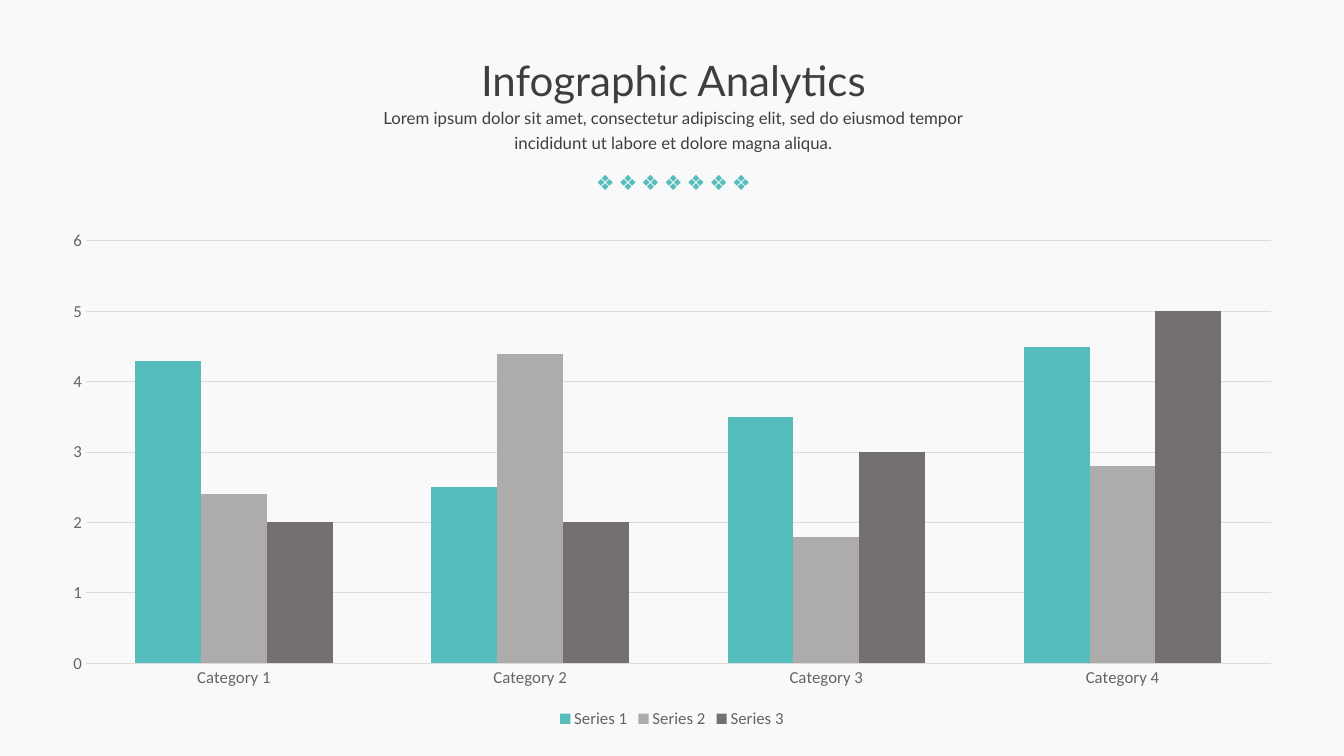
"""Build the Infographic Analytics slide with its clustered column chart."""
from pptx import Presentation
from pptx.chart.data import CategoryChartData
from pptx.dml.color import RGBColor
from pptx.enum import chart as ch, text as tx
from pptx.util import Inches, Pt

BACKGROUND = RGBColor(0xF9, 0xF9, 0xF9)
INK = RGBColor(0x3E, 0x3E, 0x3E)
LABEL = RGBColor(0x64, 0x64, 0x64)
GRID = RGBColor(0xDB, 0xDB, 0xDB)
TEAL = RGBColor(0x56, 0xBD, 0xBD)
SILVER = RGBColor(0xAE, 0xAB, 0xAB)
GRAPHITE = RGBColor(0x75, 0x70, 0x70)

CATEGORIES = [f"Category {number}" for number in range(1, 5)]
SERIES = [
    ("Series 1", (4.3, 2.5, 3.5, 4.5), TEAL),
    ("Series 2", (2.4, 4.4, 1.8, 2.8), SILVER),
    ("Series 3", (2, 2, 3, 5), GRAPHITE),
]


def set_font(font, size, color, name):
    font.size, font.name, font.bold = Pt(size), name, False
    font.color.rgb = color


def write(shape, wording, *, size, color=INK, name="Lato", align=tx.PP_ALIGN.CENTER,
          anchor=tx.MSO_ANCHOR.TOP, spacing=1.0, wrap=True):
    frame = shape.text_frame
    frame.margin_left = frame.margin_right = frame.margin_top = frame.margin_bottom = 0
    frame.auto_size = tx.MSO_AUTO_SIZE.NONE
    frame.word_wrap, frame.vertical_anchor = wrap, anchor
    paragraph = frame.paragraphs[0]
    paragraph.alignment, paragraph.line_spacing = align, spacing
    run = paragraph.add_run()
    run.text = wording
    set_font(run.font, size, color, name)


class AnalyticsSlide:
    def __init__(self, deck):
        self.slide = deck.slides.add_slide(deck.slide_layouts.get_by_name("Title Only"))
        self.chart_font = "Calibri"
        fill = self.slide.background.fill
        fill.solid()
        fill.fore_color.rgb = BACKGROUND

    def title(self, wording, left, top, width, height):
        heading = self.slide.shapes.title
        heading.left, heading.top = Inches(left), Inches(top)
        heading.width, heading.height = Inches(width), Inches(height)
        write(heading, wording, size=30, anchor=tx.MSO_ANCHOR.MIDDLE,
              spacing=Pt(37), wrap=False)

    def summary(self, wording, left, top, width, height):
        box = self.slide.shapes.add_textbox(
            Inches(left), Inches(top), Inches(width), Inches(height))
        write(box, wording, size=12, spacing=1.25)

    def ornament(self, count, left, top, pitch):
        row = self.slide.shapes.add_group_shape()
        for index in range(count):
            diamond = row.shapes.add_textbox(
                Inches(left + index * pitch), Inches(top), Inches(0.19), Inches(0.25))
            write(diamond, "❖", size=15, color=TEAL, name=self.chart_font,
                  align=tx.PP_ALIGN.LEFT, wrap=False)

    def columns(self, left, top, width, height):
        data = CategoryChartData()
        data.categories = CATEGORIES
        for name, values, _ in SERIES:
            data.add_series(name, values)
        chart = self.slide.shapes.add_chart(
            ch.XL_CHART_TYPE.COLUMN_CLUSTERED, Inches(left), Inches(top),
            Inches(width), Inches(height), data).chart
        set_font(chart.font, 12, LABEL, self.chart_font)
        chart.has_title = False
        chart.has_legend = True
        chart.legend.position = ch.XL_LEGEND_POSITION.BOTTOM
        chart.legend.include_in_layout = False
        set_font(chart.legend.font, 12, LABEL, self.chart_font)
        plot = chart.plots[0]
        plot.gap_width, plot.overlap, plot.vary_by_categories = 150, 0, False
        for bars, (_, _, color) in zip(plot.series, SERIES):
            bars.format.fill.solid()
            bars.format.fill.fore_color.rgb = color
            bars.invert_if_negative = False
        for axis in (chart.category_axis, chart.value_axis):
            axis.major_tick_mark = axis.minor_tick_mark = ch.XL_TICK_MARK.NONE
            axis.format.line.fill.background()
            set_font(axis.tick_labels.font, 12, LABEL, self.chart_font)
        scale = chart.value_axis
        scale.minimum_scale, scale.maximum_scale, scale.major_unit = 0, 6, 1
        scale.has_major_gridlines = True
        grid = scale.major_gridlines.format.line
        grid.color.rgb, grid.width = GRID, Pt(0.75)


def main():
    deck = Presentation()
    deck.slide_width, deck.slide_height = Inches(13.33), Inches(7.5)
    page = AnalyticsSlide(deck)
    page.columns(0.48, 2.19, 12.37, 5.08)
    page.title("Infographic Analytics", 4.7, 0.54, 3.96, 0.48)
    page.summary("Lorem ipsum dolor sit amet, consectetur adipiscing elit, sed do eiusmod "
                 "tempor incididunt ut labore et dolore magna aliqua.", 3.68, 1.02, 6, 0.48)
    page.ornament(7, left=5.91, top=1.68, pitch=0.225)
    deck.save("out.pptx")


if __name__ == "__main__":
    main()
